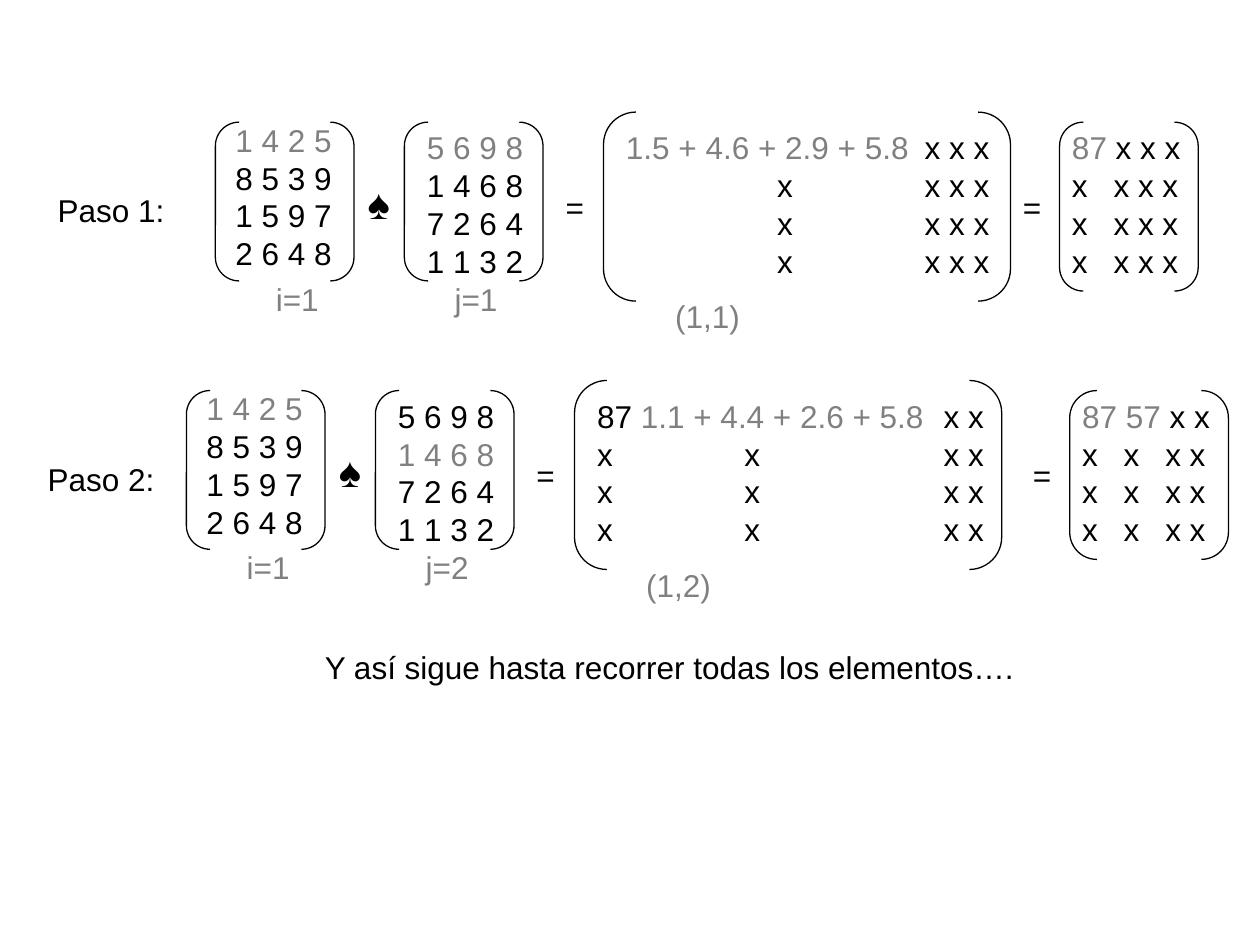
from pptx import Presentation
from pptx.dml.color import RGBColor
from pptx.enum.shapes import MSO_SHAPE
from pptx.enum.text import MSO_AUTO_SIZE
from pptx.oxml.xmlchemy import OxmlElement
from pptx.util import Inches, Pt

BRACKETS = MSO_SHAPE.DOUBLE_BRACKET
FIT_SHAPE = MSO_AUTO_SIZE.SHAPE_TO_FIT_TEXT
BLACK = RGBColor(0x00, 0x00, 0x00)
GREY = RGBColor(0x80, 0x80, 0x80)
ROW_HEIGHT = 0.3
MATRIX_WIDTH, MATRIX_HEIGHT = 1.1, 1.26
FIRST_MATRIX = ["1 4 2 5", "8 5 3 9", "1 5 9 7", "2 6 4 8"]
SECOND_MATRIX = ["5 6 9 8", "1 4 6 8", "7 2 6 4", "1 1 3 2"]


def set_tab_stops(paragraph, stops):
    tab_list = OxmlElement("a:tabLst")
    for stop in stops:
        tab = OxmlElement("a:tab")
        tab.set("pos", str(Inches(stop)))
        tab.set("algn", "l")
        tab_list.append(tab)
    properties = paragraph._p.get_or_add_pPr()
    # Tab stops come before the default run properties
    properties.insert(0, tab_list)


def add_text(slide, left, top, width, rows, highlight=(0, ""), color=BLACK,
             size=18, stops=()):
    """Add one paragraph a row; highlight is the row and the words in grey."""
    height = len(rows) * ROW_HEIGHT * size / 18 + 0.1
    box = slide.shapes.add_textbox(
        Inches(left), Inches(top), Inches(width), Inches(height))
    frame = box.text_frame
    frame.word_wrap = False
    frame.auto_size = FIT_SHAPE
    grey_row, grey_words = highlight
    for index, row in enumerate(rows):
        paragraph = frame.paragraphs[0] if index == 0 else frame.add_paragraph()
        paragraph.font.name = "Arial"
        paragraph.font.size = Pt(size)
        parts = [row]
        if grey_words and index == grey_row:
            parts = row.partition(grey_words)
        for part in filter(None, parts):
            run = paragraph.add_run()
            run.text = part
            run.font.color.rgb = GREY if part == grey_words else color
        if stops:
            set_tab_stops(paragraph, stops)


def add_brackets(slide, left, top, width, height):
    brackets = slide.shapes.add_shape(
        BRACKETS, Inches(left), Inches(top), Inches(width), Inches(height))
    brackets.adjustments[0] = 0.171
    brackets.shadow.inherit = False
    brackets.fill.background()
    brackets.line.color.rgb = BLACK
    brackets.line.width = Pt(0.75)


def add_step(slide, left, top, step):
    """Place one step, with its first matrix at left, top."""
    add_text(slide, step["label_left"], top + 0.5, 1.05, [step["label"]])

    # The two factors and their operator
    second_left = left + 1.5
    add_brackets(slide, left, top, MATRIX_WIDTH, MATRIX_HEIGHT)
    add_text(slide, left + 0.06, top - 0.06, 0.98, FIRST_MATRIX,
             (0, FIRST_MATRIX[0]))
    add_text(slide, left + 1.11, top + 0.39, 0.41, ["♠"], size=24)
    add_brackets(slide, second_left, top, MATRIX_WIDTH, MATRIX_HEIGHT)
    add_text(slide, second_left + 0.08, top, 0.98, SECOND_MATRIX,
             (step["second_row"], SECOND_MATRIX[step["second_row"]]))

    # The sum of products
    product = step["product"]
    product_left = left + 3.08
    add_text(slide, left + 2.68, top + 0.47, 0.34, ["="])
    add_brackets(slide, product_left, top - 0.08, product["width"], 1.5)
    add_text(slide, product_left + 0.08, top, product["text_width"],
             product["rows"], (0, product["grey"]), stops=product["stops"])

    # The result so far
    result = step["result"]
    add_text(slide, result["left"] - 0.39, top + 0.47, 0.34, ["="])
    add_brackets(slide, result["left"], top, result["width"], 1.34)
    add_text(slide, result["left"], top, result["width"] - 0.04,
             result["rows"], (0, result["grey"]), stops=result["stops"])

    # Captions below the matrices
    captions = [(0.38, 1.2, 0.55), (1.8, 1.2, 0.55), (3.55, 1.34, 0.73)]
    for (across, down, width), caption in zip(captions, step["captions"]):
        add_text(slide, left + across, top + down, width, [caption], color=GREY)


STEP_ONE = {
    "label": "Paso 1:", "label_left": 0.36, "second_row": 0,
    "captions": ["i=1", "j=1", "(1,1)"],
    "product": {
        "width": 3.23, "text_width": 3.1, "stops": [1.2, 2.37],
        "grey": "1.5 + 4.6 + 2.9 + 5.8",
        "rows": ["1.5 + 4.6 + 2.9 + 5.8\tx x x"] + ["\tx\tx x x"] * 3},
    "result": {
        "left": 8.41, "width": 1.1, "stops": [0.33], "grey": "87",
        "rows": ["87 x x x"] + ["x\tx x x"] * 3},
}
STEP_TWO = {
    "label": "Paso 2:", "label_left": 0.28, "second_row": 1,
    "captions": ["i=1", "j=2", "(1,2)"],
    "product": {
        "width": 3.39, "text_width": 3.28, "stops": [1.17, 2.75],
        "grey": "1.1 + 4.4 + 2.6 + 5.8",
        "rows": ["87 1.1 + 4.4 + 2.6 + 5.8\tx x"] + ["x\tx\tx x"] * 3},
    "result": {
        "left": 8.49, "width": 1.26, "stops": [0.33, 0.66], "grey": "87 57",
        "rows": ["87 57 x x"] + ["x\tx\tx x"] * 3},
}


def main():
    presentation = Presentation()
    presentation.slide_width = Inches(10)
    presentation.slide_height = Inches(7.5)
    slide = presentation.slides.add_slide(presentation.slide_layouts[6])

    add_step(slide, 1.71, 0.97, STEP_ONE)
    add_step(slide, 1.48, 3.1, STEP_TWO)
    # Closing remark
    add_text(slide, 2.48, 5.09, 5.67,
             ["Y así sigue hasta recorrer todas los elementos…."])

    presentation.save("out.pptx")


if __name__ == "__main__":
    main()
